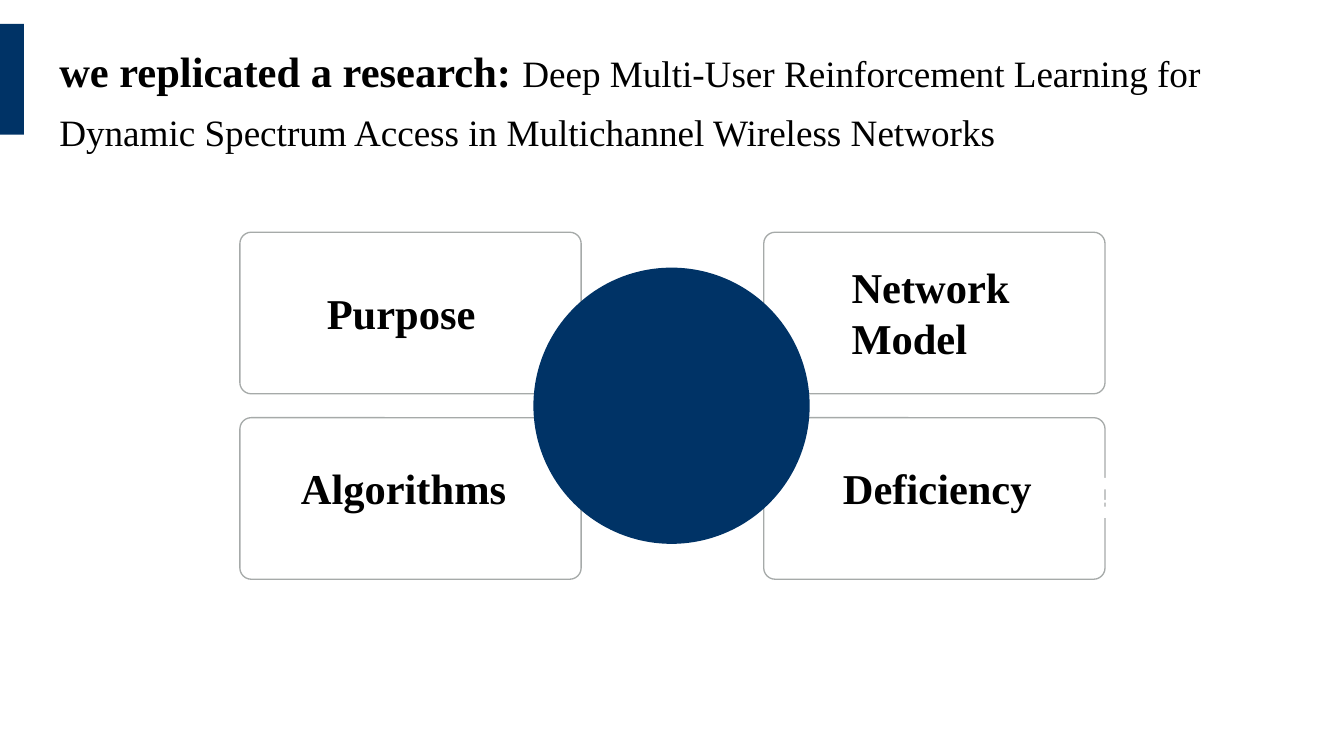
from math import cos, pi, sin

from pptx import Presentation
from pptx.dml.color import RGBColor
from pptx.enum.shapes import MSO_SHAPE
from pptx.enum.text import MSO_ANCHOR, MSO_AUTO_SIZE, PP_ALIGN
from pptx.util import Inches, Pt

NAVY = "003366"
GREY = "A6AAA9"
WHITE = "FFFFFF"
BLACK = "000000"


def paint(shape, color):
    shape.shadow.inherit = False
    shape.fill.solid()
    shape.fill.fore_color.rgb = RGBColor.from_string(color)
    shape.line.fill.background()


def style(span, size, bold):
    span.font.name = "Times New Roman"
    span.font.size = Pt(size)
    span.font.bold = bold
    span.font.color.rgb = RGBColor.from_string(BLACK)


deck = Presentation()
deck.slide_width = Inches(14.06)
deck.slide_height = Inches(7.91)
page = deck.slides.add_slide(deck.slide_layouts[5])
for placeholder in list(page.placeholders):
    if placeholder != page.shapes.title:
        placeholder.element.getparent().remove(placeholder.element)

for left in (2.51, 7.99):
    for top in (2.43, 4.37):
        card = page.shapes.add_shape(
            MSO_SHAPE.ROUNDED_RECTANGLE,
            Inches(left), Inches(top), Inches(3.57), Inches(1.69),
        )
        card.adjustments[0] = 0.07
        card.shadow.inherit = False
        card.fill.background()
        card.line.color.rgb = RGBColor.from_string(GREY)
        card.line.width = Pt(1)

hub = page.shapes.add_shape(
    MSO_SHAPE.OVAL, Inches(5.58), Inches(2.8), Inches(2.89), Inches(2.89)
)
paint(hub, NAVY)

gear_x, gear_y, teeth = 11.56, 5.21, 10
rim = []
for tooth in range(teeth):
    for offset, radius in ((-0.32, 0.16), (-0.08, 0.21), (0.08, 0.21), (0.32, 0.16)):
        angle = 2 * pi * (tooth + offset) / teeth - pi / 2
        rim.append((Inches(gear_x + radius * cos(angle)), Inches(gear_y + radius * sin(angle))))
builder = page.shapes.build_freeform(*rim[0])
builder.add_line_segments(rim[1:], close=True)
for top, bottom in ((5.12, 5.23), (5.26, 5.3)):
    left, right = Inches(11.53), Inches(11.58)
    top, bottom = Inches(top), Inches(bottom)
    builder.move_to(left, top)
    builder.add_line_segments([(left, bottom), (right, bottom), (right, top)], close=True)
gear = builder.convert_to_shape()
paint(gear, WHITE)

accent = page.shapes.add_shape(
    MSO_SHAPE.RECTANGLE, Inches(0), Inches(0.25), Inches(0.25), Inches(1.16)
)
paint(accent, NAVY)

title = page.shapes.title
title.left, title.top = Inches(0.62), Inches(0.31)
title.width, title.height = Inches(12.82), Inches(1.25)
frame = title.text_frame
frame.margin_left = frame.margin_right = frame.margin_top = frame.margin_bottom = 0
frame.vertical_anchor = MSO_ANCHOR.TOP
frame.auto_size = MSO_AUTO_SIZE.NONE
frame.word_wrap = True
para = frame.paragraphs[0]
para.alignment = PP_ALIGN.LEFT
para.line_spacing = 1.3
for text, size, bold in (
    ("we replicated a research: ", 32, True),
    ("Deep Multi-User Reinforcement Learning for Dynamic Spectrum Access "
     "in Multichannel Wireless Networks", 28, False),
):
    span = para.add_run()
    span.text = text
    style(span, size, bold)

labels = [
    ("Purpose", 3.32, 2.95, 2.12, 0.64),
    ("Network Model", 8.81, 2.68, 2.12, 1.18),
    ("Algorithms", 3.05, 4.78, 2.37, 0.64),
    ("Deficiency", 8.72, 4.78, 2.39, 0.64),
]
for text, left, top, width, height in labels:
    box = page.shapes.add_textbox(Inches(left), Inches(top), Inches(width), Inches(height))
    box.text_frame.word_wrap = True
    box.text_frame.text = text
    para = box.text_frame.paragraphs[0]
    para.alignment = PP_ALIGN.JUSTIFY
    style(para.runs[0], 32, True)

deck.save("out.pptx")
